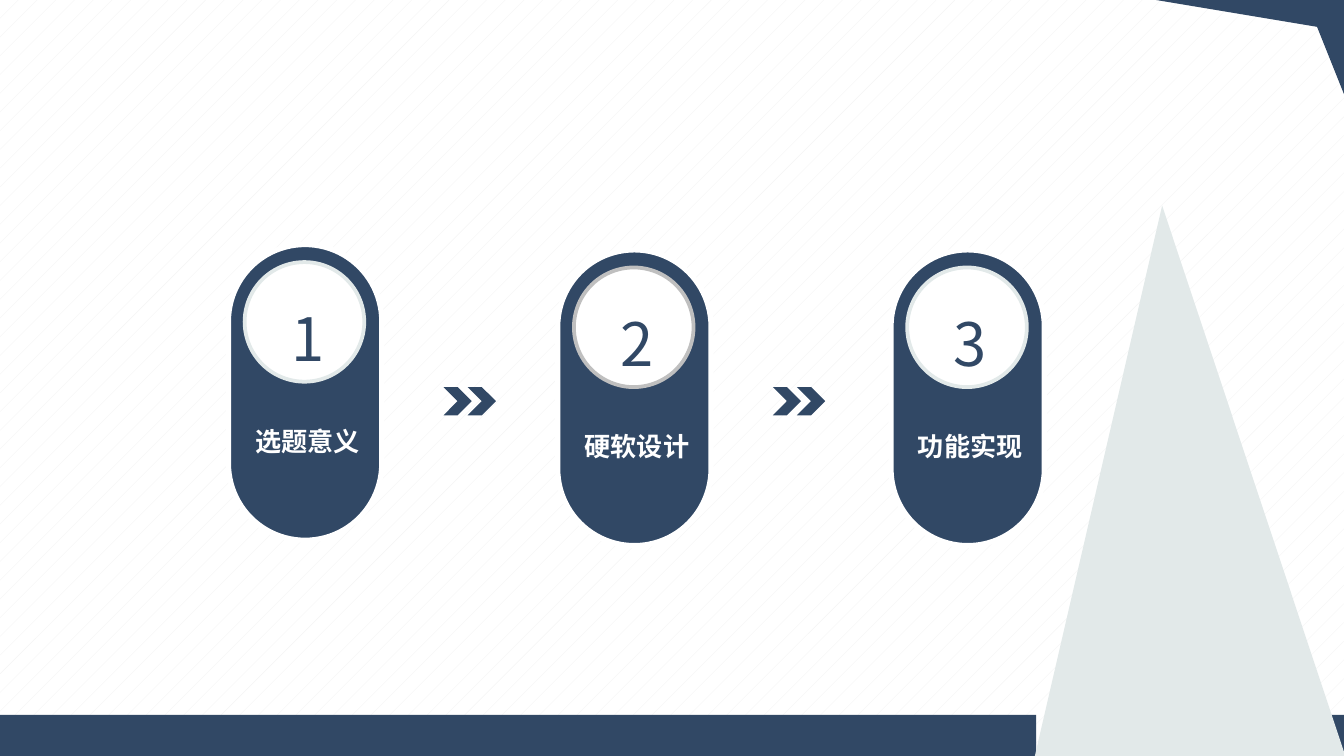
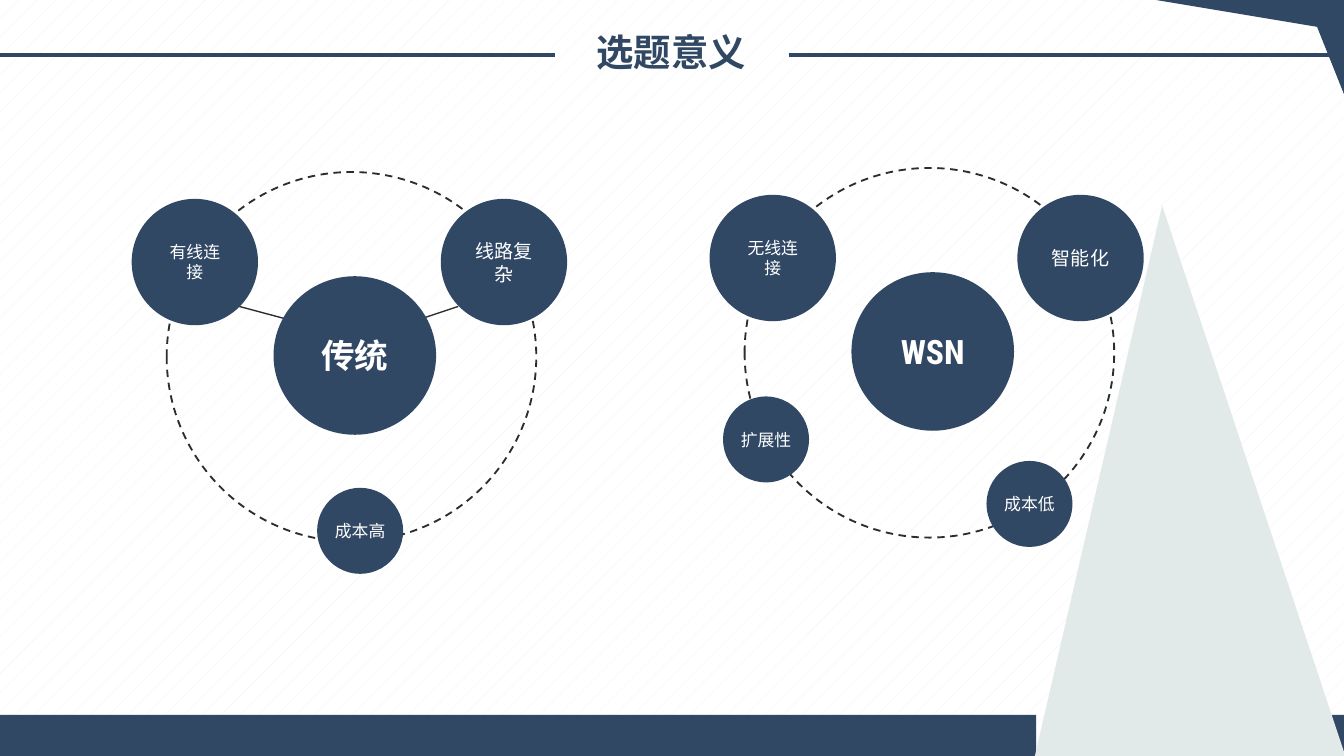
from lxml import etree
from pptx import Presentation
from pptx import util as u
from pptx.dml.color import RGBColor
from pptx.enum import dml, shapes, text
from pptx.oxml.ns import qn

COLORS = {"navy": "314865", "mist": "E2E9E9", "grey": "BFBFBF", "ink": "2B2E30",
          "white": "FFFFFF", "stripe": "F2F2F2"}
RGB = {name: RGBColor.from_string(value) for name, value in COLORS.items()}
CJK = "Noto Sans CJK SC"
LATIN = "Roboto Condensed"
KIND = shapes.MSO_SHAPE

presentation = Presentation()
presentation.slide_width = u.Inches(10)
presentation.slide_height = u.Inches(10) * 9 // 16
CELL = presentation.slide_width // 100  # grid of 100 columns, square cells
WIDTH, HEIGHT = 100, 56.25


def draw(parent, kind, left, top, width, height, fill=None, line=None, weight=1):
    """Add a preset shape, measured in grid cells."""
    shape = parent.shapes.add_shape(kind, *[round(v * CELL) for v in (left, top, width, height)])
    shape.shadow.inherit = False
    if fill:
        shape.fill.solid()
        shape.fill.fore_color.rgb = RGB[fill]
    else:
        shape.fill.background()
    if line:
        shape.line.color.rgb = RGB[line]
        shape.line.width = u.Pt(weight)
    else:
        shape.line.fill.background()
    return shape


def write(shape, words, size, color, font, bold=False, spacing=1.0, wrap=True):
    """Put one centred run into a shape."""
    shape.text_frame.word_wrap = wrap
    paragraph = shape.text_frame.paragraphs[0]
    paragraph.alignment = text.PP_ALIGN.CENTER
    paragraph.line_spacing = spacing
    run = paragraph.add_run()
    run.text = words
    run.font.size = u.Pt(size)
    run.font.bold = bold
    run.font.name = font
    run.font.color.rgb = RGB[color]
    east_asian = etree.SubElement(run.font._element, qn("a:ea"))
    east_asian.set("typeface", CJK)


# Both slides: striped background, footer bars, peak and corner
agenda = presentation.slides.add_slide(presentation.slide_layouts[6])
topic = presentation.slides.add_slide(presentation.slide_layouts[5])
for slide in (agenda, topic):
    background = slide.background.fill
    background.patterned()
    background.pattern = dml.MSO_PATTERN.PERCENT_5
    background.fore_color.rgb = RGB["stripe"]
    background.back_color.rgb = RGB["white"]
    for left, right in ((0, 77.1), (88.9, WIDTH)):
        bar = draw(slide, KIND.ROUNDED_RECTANGLE, left, 53.2, right - left, HEIGHT - 53.2, "navy")
        bar.adjustments[0] = 0
    peak = draw(slide, KIND.ISOSCELES_TRIANGLE, 77, 15.3, 23.1, HEIGHT - 15.3, "mist")
    peak.adjustments[0] = 0.41
    outline = slide.shapes.build_freeform(85.9, 0, scale=CELL)
    outline.add_line_segments([(WIDTH, 0), (WIDTH, 7.3), (97.8, 2.3)], close=True)
    corner = outline.convert_to_shape()
    corner.shadow.inherit = False
    corner.fill.solid()
    corner.fill.fore_color.rgb = RGB["navy"]
    corner.line.fill.background()

# Slide 1: three numbered pills
PILL_LENGTH, PILL_WIDTH, DISC = 22, 11.4, 8.9
steps = [("选题意义", 17, 18.2, "mist"), ("硬软设计", 41.5, 18.6, "grey"),
         ("功能实现", 66.3, 18.6, "mist")]
for number, (label, left, top, ring) in enumerate(steps, 1):
    step = agenda.shapes.add_group_shape()
    # The pill is a lying bar turned upright about its centre
    shift = (PILL_LENGTH - PILL_WIDTH) / 2
    pill = draw(step, KIND.ROUNDED_RECTANGLE, left - shift, top + shift,
                PILL_LENGTH, PILL_WIDTH, "navy", "white", 2.75)
    pill.adjustments[0] = 0.5
    pill.rotation = 90
    draw(step, KIND.OVAL, left + 1.2, top + 1.3, DISC, DISC, "white", ring, 2)
    for words, x, y, width, height, size, color, bold in (
            (str(number), 1, 1.1, 9.8, 8.2, 32, "navy", False),
            (label, 0.8, 11.8, 10.2, 4.5, 14, "white", True)):
        box = step.shapes.add_textbox(*[round(v * CELL) for v in (left + x, top + y, width, height)])
        write(box, words, size, color, CJK, bold, spacing=1.5)
        box.text_frame.auto_size = text.MSO_AUTO_SIZE.SHAPE_TO_FIT_TEXT

# Slide 1: double chevrons between the pills
for left in (33, 57.5):
    arrow = agenda.shapes.add_group_shape()
    for offset in (0, 1.8):
        draw(arrow, KIND.CHEVRON, left + offset, 28.8, 2.1, 2.1, "navy")

# Slide 2: title
title = topic.shapes.title
title.left, title.top, title.width, title.height = [round(v * CELL) for v in (41.3, 1.7, 17.3, 4.4)]
title.text_frame.vertical_anchor = text.MSO_ANCHOR.TOP
write(title, "选题意义", 20, "navy", "Calibri", bold=True)
title.text_frame.auto_size = text.MSO_AUTO_SIZE.SHAPE_TO_FIT_TEXT

# Slide 2: title rules and the spokes of the first ring
for x1, y1, x2, y2, color, weight in (
        (0, 4.1, 41.3, 4.1, "navy", 2), (58.7, 4.1, WIDTH, 4.1, "navy", 2),
        (34.1, 22.8, 30.8, 23.9, "ink", 0.75), (17.8, 22.8, 21.9, 23.9, "ink", 0.75)):
    connector = topic.shapes.add_connector(
        shapes.MSO_CONNECTOR.STRAIGHT, *[round(v * CELL) for v in (x1, y1, x2, y2)])
    connector.line.color.rgb = RGB[color]
    connector.line.width = u.Pt(weight)
    etree.SubElement(connector._element.spPr, qn("a:effectLst"))

# Slide 2: rings with a hub and satellites, placed from each ring's corner
RING, LARGE, SMALL = 27.5, 9.4, 6.4
rings = [
    (12.4, 12.8, "传统", [("有线连接", -2.6, 2, LARGE, 9), ("线路复杂", 20.4, 2, LARGE, 10.2),
                        ("成本高", 11.2, 23.5, SMALL, 9)]),
    (55.4, 12.5, "WSN", [("无线连接", -2.6, 2, LARGE, 9), ("智能化", 20.3, 2, LARGE, 10.2),
                         ("成本低", 18, 21.8, SMALL, 9), ("扩展性", -1.6, 17, SMALL, 9)]),
]
for left, top, hub_label, satellites in rings:
    cluster = topic.shapes.add_group_shape()
    orbit = draw(cluster, KIND.OVAL, left, top, RING, RING, line="ink")
    orbit.line.dash_style = dml.MSO_LINE.DASH
    for label, x, y, size, points in satellites:
        satellite = draw(cluster, KIND.OVAL, left + x, top + y, size, size, "navy")
        satellite.text_frame.vertical_anchor = text.MSO_ANCHOR.MIDDLE
        write(satellite, label, points, "white", LATIN, wrap=size == LARGE)
    hub = draw(topic, KIND.OVAL, left + 7.95, top + 7.75, 12.1, 11.8, "navy")
    hub.text_frame.vertical_anchor = text.MSO_ANCHOR.MIDDLE
    write(hub, hub_label, 18, "white", LATIN, bold=True, wrap=False)

presentation.save("out.pptx")
